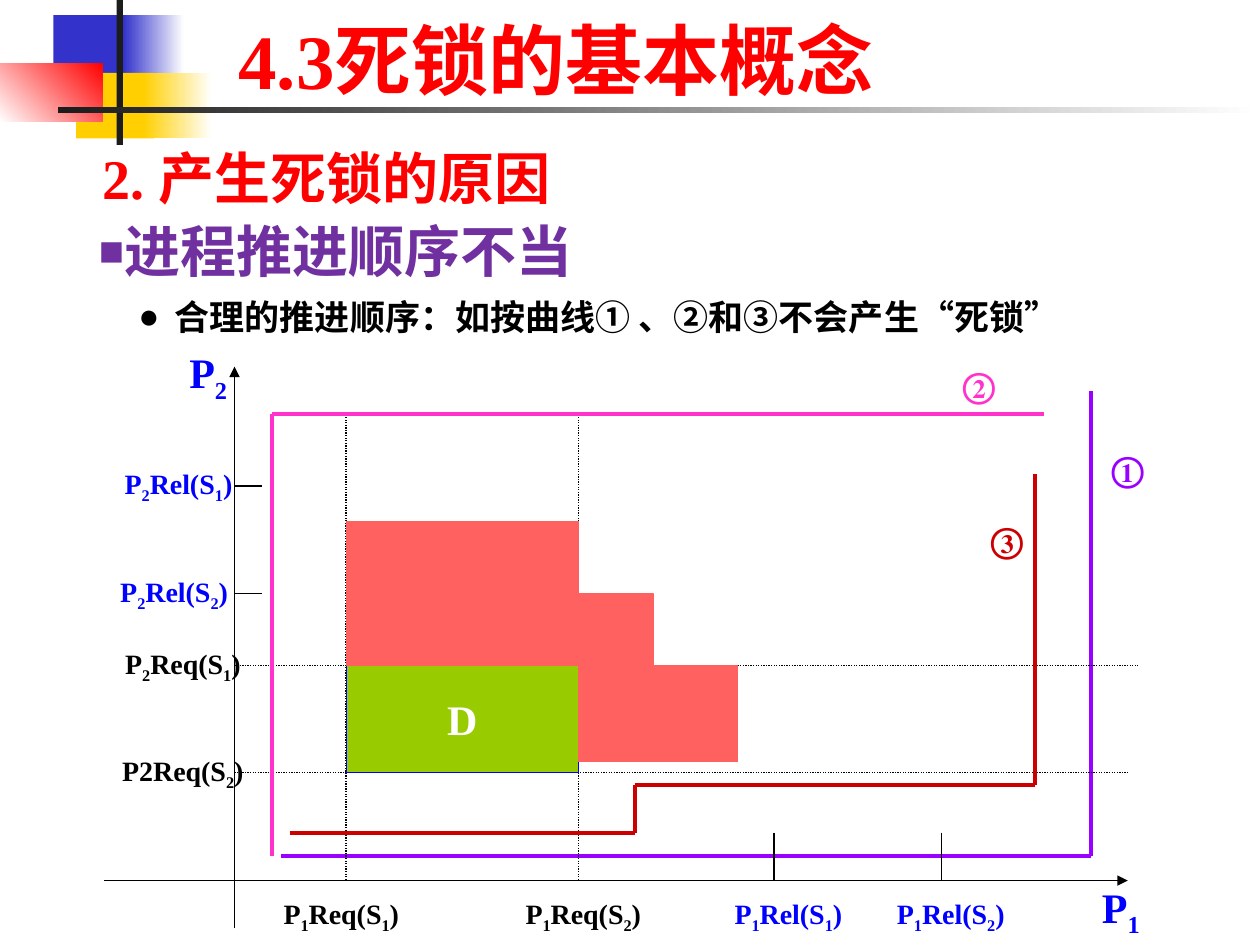
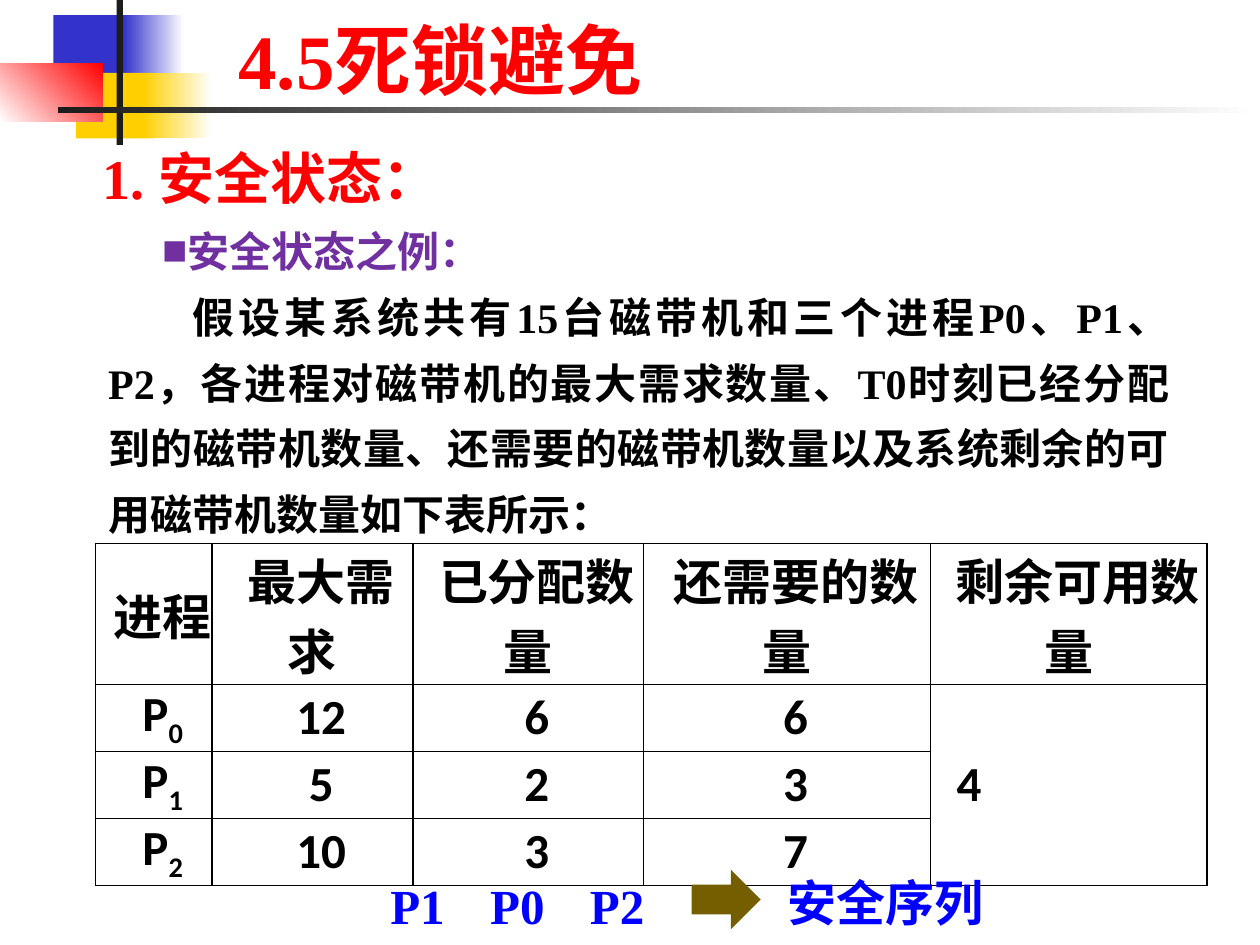
from dataclasses import dataclass
from itertools import pairwise

from lxml.etree import SubElement
from pptx import Presentation
from pptx.dml.color import RGBColor
from pptx.enum.dml import MSO_LINE
from pptx.enum.shapes import MSO_CONNECTOR, MSO_SHAPE
from pptx.enum.text import MSO_ANCHOR, MSO_AUTO_SIZE, PP_ALIGN
from pptx.oxml import parse_xml
from pptx.oxml.ns import nsdecls, qn
from pptx.util import Pt


@dataclass(frozen=True)
class Theme:
    black: str = "000000"
    white: str = "FFFFFF"
    red: str = "FF0000"
    blue: str = "0000FF"
    purple: str = "7030A0"
    ink: str = "1C1C1C"
    navy: str = "3333CC"
    gold: str = "FFCF01"
    violet: str = "9900FF"
    pink: str = "FF33CC"
    brick: str = "CC0000"
    coral: str = "FF6161"
    green: str = "99CC00"
    olive: str = "745E00"
    serif: str = "Times New Roman"
    cjk: str = "Noto Sans CJK SC"
    sans: str = "Calibri"
    title: int = 44
    head: int = 32
    large: int = 28
    body: int = 24
    note: int = 20
    label: int = 16
    thin: float = 0.75
    thick: float = 2.25


T = Theme()


def rgb(code):
    return RGBColor.from_string(code)


def pts(*values):
    return [Pt(v) for v in values]


def add_run(par, text, size, color, face=T.serif, sub=False):
    run = par.add_run()
    run.text = text
    font = run.font
    font.name, font.size, font.bold = face, Pt(size), True
    font.color.rgb = rgb(color)
    props = run._r.get_or_add_rPr()
    wide = any(c >= "一" for c in text)
    SubElement(props, qn("a:ea")).set("typeface", T.cjk if wide else face)
    if sub:
        props.set("baseline", "-25000")


def add_marked(par, text, *style):
    """Add runs; the character after each underscore is a subscript."""
    first, *rest = text.split("_")
    if first:
        add_run(par, first, *style)
    for part in rest:
        add_run(par, part[0], *style, sub=True)
        if part[1:]:
            add_run(par, part[1:], *style)


def indent(par, left, first):
    props = par._p.get_or_add_pPr()
    props.set("marL", str(Pt(left)))
    props.set("indent", str(Pt(first)))


def bullet(par, char, hang, scale=100):
    indent(par, hang, -hang)
    props = par._p.get_or_add_pPr()
    SubElement(props, qn("a:buSzPct")).set("val", str(scale * 1000))
    SubElement(props, qn("a:buFont")).set("typeface", T.serif)
    SubElement(props, qn("a:buChar")).set("char", char)


def add_text(slide, box, text, size, color, face=T.serif):
    """Add a wrapped text box and return its paragraph."""
    frame = slide.shapes.add_textbox(*pts(*box)).text_frame
    frame.word_wrap = True
    par = frame.paragraphs[0]
    if text:
        add_run(par, text, size, color, face)
    return par


def add_label(slide, x, y, text, size, color):
    """Add a label centred on the point (x, y)."""
    wide, high = 80, 28
    box = pts(x - wide / 2, y - high / 2, wide, high)
    frame = slide.shapes.add_textbox(*box).text_frame
    frame.word_wrap = False
    frame.margin_left = frame.margin_right = 0
    frame.vertical_anchor = MSO_ANCHOR.MIDDLE
    par = frame.paragraphs[0]
    par.alignment = PP_ALIGN.CENTER
    add_marked(par, text, size, color)


def add_block(shapes, box, fill, edge=None, fade=None, angle=0,
              kind=MSO_SHAPE.RECTANGLE):
    """Add a shape, filled plainly or fading from fill to fade."""
    shape = shapes.add_shape(kind, *pts(*box))
    shape.shadow.inherit = False
    if fade:
        shape.fill.gradient()
        shape.fill.gradient_angle = angle
        for stop, color in zip(shape.fill.gradient_stops, (fill, fade)):
            stop.color.rgb = rgb(color)
    else:
        shape.fill.solid()
        shape.fill.fore_color.rgb = rgb(fill)
    if edge:
        shape.line.color.rgb = rgb(edge)
        shape.line.width = Pt(T.thin)
    else:
        shape.line.fill.background()
    return shape


def add_line(slide, start, end, color=T.black, width=T.thin,
             dots=False, arrow=False):
    line = slide.shapes.add_connector(
        MSO_CONNECTOR.STRAIGHT, *pts(*start, *end))
    line.line.color.rgb = rgb(color)
    line.line.width = Pt(width)
    if dots:
        line.line.dash_style = MSO_LINE.ROUND_DOT
    if arrow:
        tail = SubElement(line.line._get_or_add_ln(), qn("a:tailEnd"))
        tail.set("type", "triangle")
    SubElement(line._element.spPr, qn("a:effectLst"))


def add_curve(slide, color, *points):
    for start, end in pairwise(points):
        add_line(slide, start, end, color, T.thick)


def add_bands(slide, layout):
    """Build the corner blocks and rule, then move them to the layout."""
    group = slide.shapes.add_group_shape()
    for box, fill, fade, angle in (
        ((30.5, 8.6, 46, 37.4), T.navy, None, 0),
        ((70.5, 8.6, 34.5, 37.4), T.navy, T.white, 0),
        ((43.5, 41.7, 44.5, 37.4), T.gold, None, 0),
        ((82, 41.7, 39, 37.4), T.gold, T.white, 0),
        ((0, 36.2, 58.8, 33.3), T.white, T.red, 45),
        ((66.7, 0, 3.5, 82.8), T.ink, None, 0),
        ((33.2, 61.1, 686.8, 3.5), T.ink, T.white, 0),
    ):
        add_block(group.shapes, box, fill, fade=fade, angle=angle)
    layout.shapes._spTree.insert(2, group._element)


def add_page(deck, layout, title, head):
    slide = deck.slides.add_slide(layout)
    shape = slide.shapes.title
    shape.left, shape.top, shape.width, shape.height = pts(129, 2.6, 620.5, 68.4)
    frame = shape.text_frame
    frame.auto_size = MSO_AUTO_SIZE.NONE
    frame.vertical_anchor = MSO_ANCHOR.MIDDLE
    par = frame.paragraphs[0]
    par.alignment = PP_ALIGN.LEFT
    par.line_spacing = 0.9
    add_run(par, title, T.title, T.red)
    add_text(slide, (51.7, 78.2, 424, 46), head, T.head, T.red)
    return slide


def border(cell):
    props = cell._tc.get_or_add_tcPr()
    for i, side in enumerate(("lnL", "lnR", "lnT", "lnB")):
        props.insert(i, parse_xml(
            f'<a:{side} {nsdecls("a")} w="{Pt(1)}"><a:solidFill>'
            f'<a:srgbClr val="{T.black}"/></a:solidFill></a:{side}>'))


def add_grid(slide, box, widths, heights, rows):
    grid = slide.shapes.add_table(len(rows), len(widths), *pts(*box)).table
    grid.first_row = grid.horz_banding = False
    for col, width in zip(grid.columns, widths):
        col.width = Pt(width)
    for row, height in zip(grid.rows, heights):
        row.height = Pt(height)
    last = len(widths) - 1
    grid.cell(1, last).merge(grid.cell(len(rows) - 1, last))
    for r, row in enumerate(rows):
        for c in range(len(widths)):
            cell = grid.cell(r, c)
            cell.fill.background()
            border(cell)
            cell.vertical_anchor = MSO_ANCHOR.MIDDLE
            cell.margin_top = cell.margin_bottom = 0
            cell.margin_left = cell.margin_right = Pt(5 if r else 0)
            if c < len(row):
                par = cell.text_frame.paragraphs[0]
                indent(par, 0, 10)
                side = r and c == last
                par.alignment = PP_ALIGN.LEFT if side else PP_ALIGN.CENTER
                add_marked(par, row[c], T.large, T.black, T.sans)


def draw_plot(slide):
    """Draw the progress diagram of the two processes."""
    x0, y0 = 134, 503.2
    req1, req2 = 197.8, 330.5
    rel_y1, rel_y2, req_y1, req_y2 = 277.8, 339.2, 380.2, 441.5
    top = 236.8

    add_line(slide, (x0, 530.5), (x0, 209.5), arrow=True)
    add_line(slide, (59.7, y0), (644.5, y0), arrow=True)
    add_curve(slide, T.violet, (160.5, 489.4), (623.4, 489.4), (623.4, 223.2))
    for x in (req1, req2):
        add_line(slide, (x, top), (x, y0), dots=True)
    for y, end in ((req_y2, 644.5), (req_y1, 650)):
        add_line(slide, (x0, y), (end, y), dots=True)
    add_curve(slide, T.brick, (165.6, 475.8), (362.7, 475.8), (362.7, 448.5),
              (591.3, 448.5), (591.3, 270.8))
    add_curve(slide, T.pink, (155.4, 489.4), (155.4, top), (596.7, top))
    for x in (442.3, 538):
        add_line(slide, (x, 475.8), (x, y0))
    for y in (rel_y1, rel_y2):
        add_line(slide, (x0, y), (150, y))

    for x, y, text, size, color in (
        (644.5, 267.5, "①", T.note, T.violet),
        (559.5, 220, "②", T.note, T.pink),
        (575.4, 308.5, "③", T.note, T.brick),
        (104.5, req_y1, "P_2Req(S_1)", T.label, T.black),
        (104.5, req_y2, "P2Req(S_2)", T.label, T.black),
        (99.5, rel_y2, "P_2Rel(S_2)", T.label, T.blue),
        (102, rel_y1, "P_2Rel(S_1)", T.label, T.blue),
        (195, 523.5, "P_1Req(S_1)", T.label, T.black),
        (333.3, 523.5, "P_1Req(S_2)", T.label, T.black),
        (450.5, 523.5, "P_1Rel(S_1)", T.label, T.blue),
        (543.3, 523.5, "P_1Rel(S_2)", T.label, T.blue),
        (119, 214.4, "P_2", T.body, T.blue),
        (640.5, 520, "P_1", T.body, T.blue),
    ):
        add_label(slide, x, y, text, size, color)

    wide = req2 - req1
    zone = add_block(slide.shapes, (req1, req_y1, wide, req_y2 - req_y1),
                     T.green, T.blue)
    zone.text_frame.word_wrap = False
    zone.text_frame.vertical_anchor = MSO_ANCHOR.MIDDLE
    par = zone.text_frame.paragraphs[0]
    par.alignment = PP_ALIGN.CENTER
    add_run(par, "D", T.body, T.white)
    for box in ((req1, 298, wide, req_y1 - 298),
                (req2, req_y1, 91, 54.8),
                (req2, rel_y2, 42.7, req_y1 - rel_y2)):
        add_block(slide.shapes, box, T.coral, T.coral)


def fill_causes(slide):
    par = add_text(slide, (49.5, 124.5, 620.5, 46), "进程推进顺序不当",
                   T.head, T.purple, T.cjk)
    bullet(par, "■", 13.7, 75)
    par.line_spacing = 0.9
    par = add_text(slide, (72, 160.5, 592.5, 34), "", T.note, T.black)
    bullet(par, "●", 20.8)
    par.line_spacing = 1.2
    add_run(par, "合理的推进顺序：如", T.note, T.black)
    add_run(par, "按曲线① 、", T.note, T.black, T.cjk)
    add_run(par, "②和③不会产生“死锁”", T.note, T.black)
    draw_plot(slide)


def fill_safety(slide):
    par = add_text(
        slide, (54.8, 154.6, 620.5, 154), 
        "假设某系统共有15台磁带机和三个进程P0、P1、P2，各进程对磁带机的"
        "最大需求数量、T0时刻已经分配到的磁带机数量、还需要的磁带机数量以及"
        "系统剩余的可用磁带机数量如下表所示：", T.body, T.black)
    indent(par, 0, 48)
    par.alignment = PP_ALIGN.JUSTIFY
    par.line_spacing = 1.3
    add_grid(slide, (54.7, 310.5, 635, 171), (66.5, 114.7, 131.8, 164, 158.2),
             (80.6, 30, 30, 30), (
        ("进程", "最大需求", "已分配数量", "还需要的数量", "剩余可用数量"),
        ("P_0", "12", "6", "6", "4"),
        ("P_1", "5", "2", "3"),
        ("P_2", "10", "3", "7"),
    ))
    for i, name in enumerate(("P1", "P0", "P2")):
        add_text(slide, (216 + 57 * i, 497, 62.5, 28), name, T.large, T.blue)
    add_block(slide.shapes, (395.2, 497, 39.5, 34), T.olive,
              kind=MSO_SHAPE.RIGHT_ARROW)
    add_text(slide, (443, 495.3, 180, 28), "安全序列", T.large, T.blue, T.cjk)
    par = add_text(slide, (85.5, 116.5, 375, 41), "安全状态之例：",
                   T.body, T.purple)
    bullet(par, "■", 14)
    par.alignment = PP_ALIGN.JUSTIFY
    par.line_spacing = 1.3


def main():
    deck = Presentation()
    deck.slide_width, deck.slide_height = pts(720, 540)
    layout = deck.slide_layouts[5]
    causes = add_page(deck, layout, "4.3死锁的基本概念", "2. 产生死锁的原因")
    add_bands(causes, layout)
    fill_causes(causes)
    fill_safety(add_page(deck, layout, "4.5死锁避免", "1. 安全状态："))
    deck.save("out.pptx")


if __name__ == "__main__":
    main()
